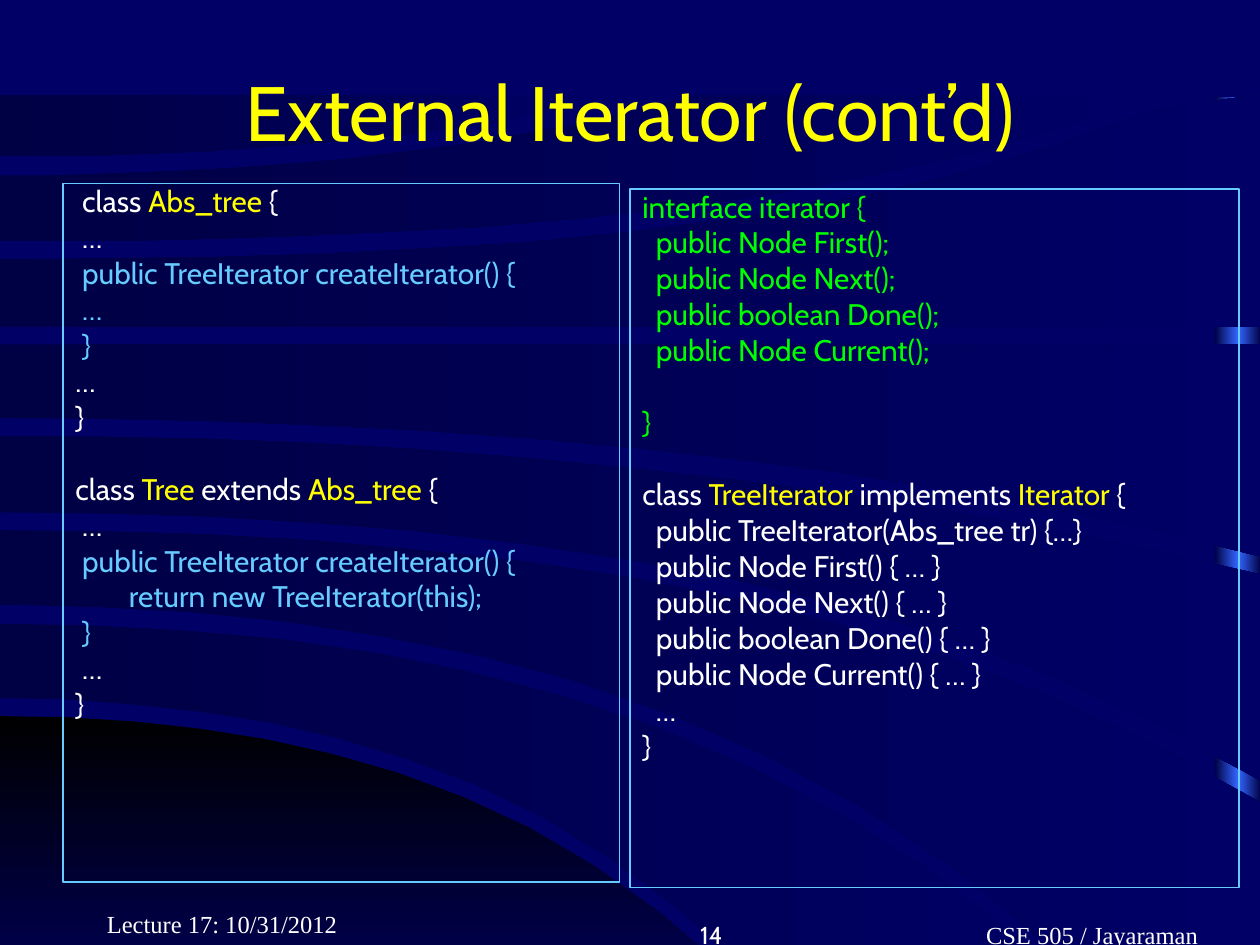
from lxml import etree
from pptx import Presentation
from pptx.dml.color import RGBColor
from pptx.enum.shapes import MSO_SHAPE
from pptx.enum.text import MSO_ANCHOR, PP_ALIGN
from pptx.oxml.ns import qn
from pptx.util import Inches, Pt

RECTANGLE = MSO_SHAPE.RECTANGLE
TOP, MIDDLE, BOTTOM = MSO_ANCHOR.TOP, MSO_ANCHOR.MIDDLE, MSO_ANCHOR.BOTTOM
LEFT, CENTER, RIGHT = PP_ALIGN.LEFT, PP_ALIGN.CENTER, PP_ALIGN.RIGHT

THEME = {
    "background": "000066", "band": "000044", "glow": "3366FF", "corner": "000000",
    "text": "FFFFFF", "name": "FFFF00", "method": "66CCFF", "interface": "00FF00",
    "code_font": "Cabin", "footer_font": "Times New Roman",
    "title_size": 44, "code_size": 17, "footer_size": 14,
}
COLUMNS = 120
BANDS_TOP, BANDS_BOTTOM = 9, 99
CURVE_STEPS = 12
LINE_GAP, BLANK_LINE = 4.2, 20.6
HANGING = Inches(0.38)

presentation = Presentation()
presentation.slide_width = Inches(10)
presentation.slide_height = Inches(7.5)
UNIT = presentation.slide_width // COLUMNS
slide = presentation.slides.add_slide(presentation.slide_layouts[6])
slide.background.fill.solid()
slide.background.fill.fore_color.rgb = RGBColor.from_string(THEME["background"])


def paint_gradient(shape, colors, angle=0):
    shape.shadow.inherit = False
    shape.line.fill.background()
    shape.fill.gradient()
    gradient = shape._element.spPr.find(qn("a:gradFill"))
    stops = gradient.find(qn("a:gsLst"))
    for stop in list(stops):
        stops.remove(stop)
    for index, color in enumerate(colors):
        position = 100000 * index // (len(colors) - 1)
        stop = etree.SubElement(stops, qn("a:gs"), pos=str(position))
        etree.SubElement(stop, qn("a:srgbClr"), val=color)
    gradient.find(qn("a:lin")).set("ang", str(angle * 60000))


def write_lines(shape, lines, font="code_font", size="code_size", align=LEFT,
                anchor=TOP, code=False):
    frame = shape.text_frame
    frame.word_wrap = True
    frame.vertical_anchor = anchor
    paragraph, gap = None, LINE_GAP
    for line in lines:
        if not line:
            gap += BLANK_LINE
            continue
        if paragraph is None:
            paragraph = frame.paragraphs[0]
        else:
            paragraph = frame.add_paragraph()
            paragraph.space_before = Pt(gap)
        gap = LINE_GAP
        paragraph.alignment = align
        if code:
            paragraph.line_spacing = 0.8
            properties = paragraph._p.get_or_add_pPr()
            properties.set("marL", str(HANGING))
            properties.set("indent", str(-HANGING))
        for text, color in line:
            run = paragraph.add_run()
            run.text = text
            run.font.name = THEME[font]
            run.font.size = Pt(THEME[size])
            run.font.color.rgb = RGBColor.from_string(THEME[color])


glow_strip = slide.shapes.add_shape(
    RECTANGLE, *[int(UNIT * cell) for cell in (115.7, 9.2, 4.4, 90)])
paint_gradient(glow_strip, [THEME["band"], THEME["glow"], THEME["band"]])

band_edges = [
    ((75.5, 68.2, BANDS_BOTTOM, 0.6), (75.5, BANDS_BOTTOM, BANDS_BOTTOM, 1)),
    ((107.3, 59.4, BANDS_BOTTOM, 0.6), (77.2, 66.5, BANDS_BOTTOM, 0.6)),
    ((COLUMNS, 50.5, 76.4, 0.6), (109.2, 57.6, BANDS_BOTTOM, 0.6)),
    ((COLUMNS, 41.5, 54.7, 0.9), (COLUMNS, 48.8, 74.3, 0.6)),
    ((COLUMNS, 32.8, 32.8, 1), (COLUMNS, 39.8, 53, 0.8)),
    ((COLUMNS, 24.7, 5.9, 0.4), (COLUMNS, 31.1, 31.1, 1)),
    ((66.8, 16.7, BANDS_TOP, 0.8), (110.2, 23, BANDS_TOP, 0.5)),
    ((60.2, BANDS_TOP, BANDS_TOP, 1), (60.2, 14.9, BANDS_TOP, 0.8)),
]
for index, edges in enumerate(band_edges):
    curves = []
    for reach, start_row, end_row, roundness in edges:
        shares = [step / CURVE_STEPS for step in range(CURVE_STEPS + 1)]
        curves.append([
            (reach * share, max(BANDS_TOP, start_row + (end_row - start_row) * (
                roundness * share ** 2 + (1 - roundness) * share ** 4)))
            for share in shares])
    upper, lower = curves
    far_corner = (max(upper[-1][0], lower[-1][0]), max(upper[-1][1], lower[-1][1]))
    outline = [(column * 10, row * 10) for column, row in upper + [far_corner] + lower[::-1]]
    builder = slide.shapes.build_freeform(*outline[0], scale=UNIT / 10)
    builder.add_line_segments(outline[1:], close=True)
    color, angle = ("corner", 90) if index == 0 else ("band", 0)
    paint_gradient(builder.convert_to_shape(), [THEME[color], THEME["background"]], angle)

labels = [
    ("CSE 505 / Jayaraman", (79, 85, 38, 6), "text", "footer_font", "footer_size", CENTER, BOTTOM, 13.2),
    ("14", (45, 85, 25, 6), "text", "code_font", "footer_size", RIGHT, BOTTOM, 1.2),
    ("External Iterator (cont’d)", (6, 3, 108, 15), "name", "code_font", "title_size", CENTER, MIDDLE, 1.2),
    ("Lecture 17: 10/31/2012", (9, 84, 25, 6), "text", "footer_font", "footer_size", LEFT, BOTTOM, 1.2),
]
for text, cells, color, font, size, align, anchor, inset in labels:
    label = slide.shapes.add_textbox(*[UNIT * cell for cell in cells])
    label.text_frame.margin_left = int(UNIT * inset)
    write_lines(label, [[(text, color)]], font=font, size=size, align=align, anchor=anchor)

iterator_code = [
    *[[(text, "interface")] for text in (
        "interface iterator {", "  public Node First();", "  public Node Next();",
        "  public boolean Done();", "  public Node Current();")],
    [],
    [("}", "interface")],
    [],
    [("class ", "text"), ("TreeIterator", "name"), (" implements ", "text"),
     ("Iterator", "name"), (" {", "text")],
    *[[(text, "text")] for text in (
        "  public TreeIterator(Abs_tree tr) {…}", "  public Node First() { … }",
        "  public Node Next() { … }", "  public boolean Done() { … }",
        "  public Node Current() { … }", "  …", "}")],
]
create_method = [(" public TreeIterator createIterator() {", "method")]
tree_code = [
    [(" class ", "text"), ("Abs_tree", "name"), (" {", "text")],
    [(" …", "text")],
    create_method,
    [(" …", "method")],
    [(" }", "method")],
    [("…", "text")],
    [("}", "text")],
    [],
    [("class ", "text"), ("Tree", "name"), (" extends ", "text"),
     ("Abs_tree", "name"), (" {", "text")],
    [(" …", "text")],
    create_method,
    [("        return new TreeIterator(this);", "method")],
    [(" }", "method")],
    [(" …", "text")],
    [("}", "text")],
]
for cells, code_lines in [((60, 18, 58, 66.5), iterator_code), ((6, 17.5, 53, 66.5), tree_code)]:
    panel = slide.shapes.add_shape(RECTANGLE, *[int(UNIT * cell) for cell in cells])
    panel.shadow.inherit = False
    panel.fill.background()
    panel.line.color.rgb = RGBColor.from_string(THEME["method"])
    panel.line.width = Pt(0.75)
    write_lines(panel, code_lines, code=True)

presentation.save("out.pptx")
